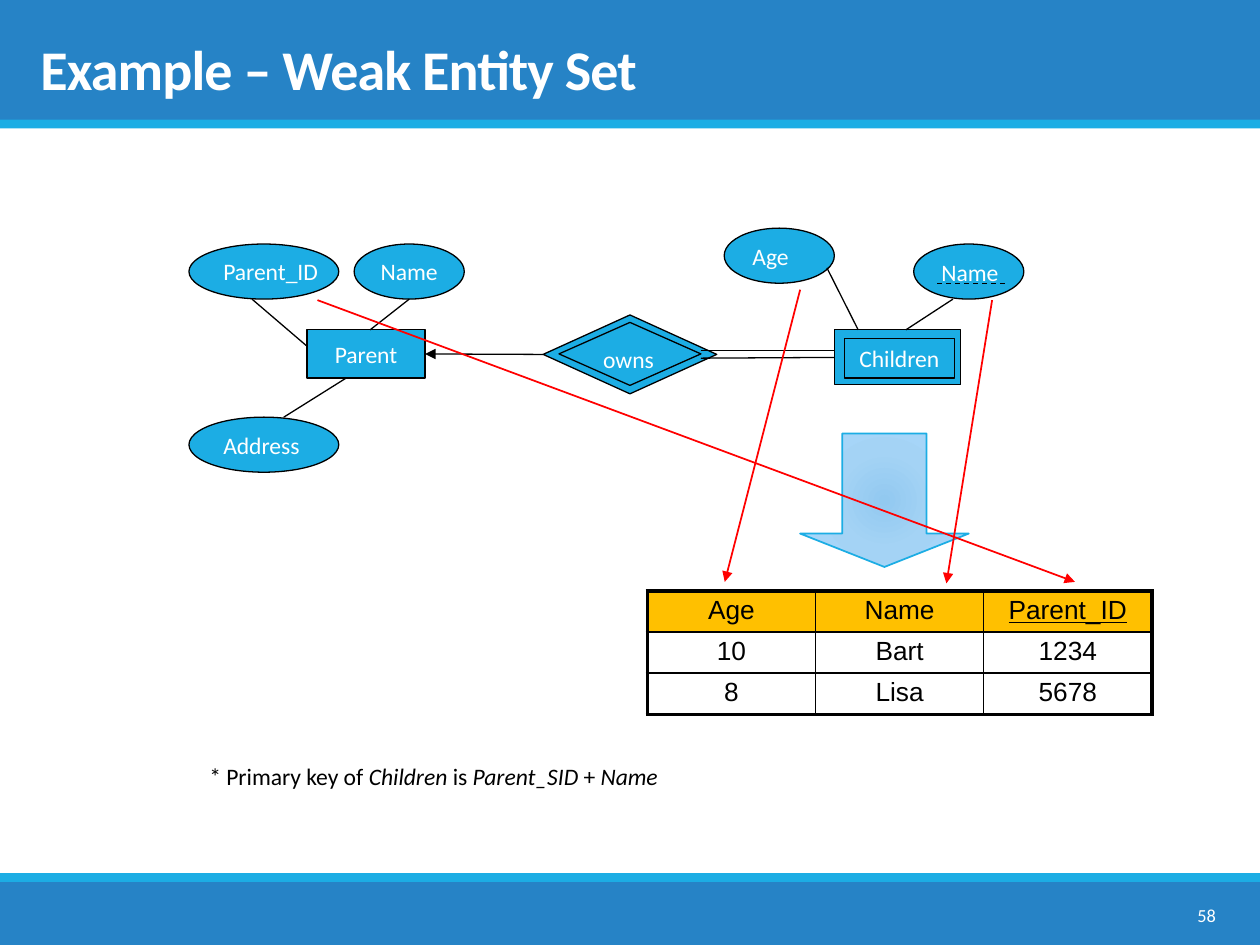
"""Build a slide that maps a weak entity set to a table."""
import pptx
import pptx.dml.color
import pptx.enum.dml
import pptx.enum.shapes
import pptx.enum.text
import pptx.oxml
import pptx.oxml.ns
import pptx.util

Cm = pptx.util.Cm
Pt = pptx.util.Pt
KIND = pptx.enum.shapes.MSO_SHAPE
ALIGN = pptx.enum.text.PP_ALIGN
ANCHOR = pptx.enum.text.MSO_ANCHOR
qn = pptx.oxml.ns.qn

COLORS = {"band": "2683C6", "accent": "1CADE4", "ink": "000000", "white": "FFFFFF",
          "header": "FFC000", "mapping": "FF0000"}
ARROW_STOPS = [(0, "92C9F0"), (45, "A4D3F5"), (100, "A9D9FD")]
WIDTH, HEIGHT = 25.4, 19.05

TITLE = "Example – Weak Entity Set"
BANDS = [("band", 0, 2.44), ("band", 17.78, 1.27), ("accent", 17.6, 0.18), ("accent", 2.41, 0.18)]
ROWS = [["Age", "Name", "Parent_ID"], ["10", "Bart", "1234"], ["8", "Lisa", "5678"]]
TABLE_LEFT, TABLE_TOP, COLUMN_WIDTH, ROW_HEIGHT = 13.05, 11.91, 3.39, 0.83
FOOTNOTE = [("* Primary key of ", False), ("Children", True), (" is ", False),
            ("Parent_SID", True), (" + ", False), ("Name", True)]

OUTER_PARTS = {
    "parent": (KIND.RECTANGLE, (6.19, 6.65, 2.38, 0.97), "Parent", ALIGN.CENTER),
    "parent name": (KIND.OVAL, (7.14, 4.92, 2.22, 1.11), "Name", ALIGN.CENTER),
    "parent id": (KIND.OVAL, (3.81, 4.92, 3.02, 1.11), "Parent_ID", ALIGN.LEFT),
    "address": (KIND.OVAL, (3.81, 8.41, 3.02, 1.11), "Address", ALIGN.LEFT),
    "owns": (KIND.FLOWCHART_DECISION, (10.95, 6.35, 3.5, 1.59), "", None),
    "children": (KIND.RECTANGLE, (16.83, 6.65, 2.54, 1.11), "", None),
    "child name": (KIND.OVAL, (18.42, 4.92, 2.22, 1.11), "", None),
    "age": (KIND.OVAL, (14.6, 4.6, 2.22, 1.11), "", None),
}
INNER_PARTS = {
    "children": (KIND.RECTANGLE, (17.02, 6.83, 2.22, 0.79), "Children", ALIGN.CENTER),
    "owns": (KIND.FLOWCHART_DECISION, (11.27, 6.5, 2.86, 1.27), "", None),
}
LABELS = [("Name", (18.73, 5.08, 1.75, 0.84)), ("Age", (14.92, 4.75, 1.59, 0.84)),
          ("owns", (11.91, 6.83, 1.59, 0.84))]
ATTRIBUTE_LINKS = [(5.08, 6.03, 6.19, 6.98), (8.25, 6.03, 7.46, 6.65), (5.72, 8.41, 6.98, 7.62),
                   (19.21, 6.03, 18.26, 6.65), (16.67, 5.4, 17.3, 6.65), (14.13, 7.06, 16.83, 7.06)]
TOTAL_LINK = (14.13, 7.22, 16.83, 7.2)
OWNER_LINK = (10.95, 7.14, 8.57, 7.14)
KEY_UNDERLINE = (18.89, 5.72, 20.32, 5.72)
MAPPINGS = [(16.13, 5.84, 14.61, 11.73), (20, 6.05, 19.08, 11.76), (6.4, 6.05, 21.67, 11.73)]


def rgb(color):
    return pptx.dml.color.RGBColor.from_string(COLORS[color])


def write(frame, text, size=13.5, color="white", font="Calibri", align=ALIGN.LEFT,
          anchor=ANCHOR.TOP, wrap=True, bold=False, underline=False):
    frame.word_wrap = wrap
    frame.vertical_anchor = anchor
    paragraph = frame.paragraphs[0]
    paragraph.alignment = align
    for words, italic in [(text, False)] if isinstance(text, str) else text:
        run = paragraph.add_run()
        run.text = words
        run.font.name, run.font.size = font, Pt(size)
        run.font.bold, run.font.italic, run.font.underline = bold, italic, underline
        run.font.color.rgb = rgb(color)
    return paragraph


def add_part(slide, kind, box, fill=None, line=None, weight=0.75):
    part = slide.shapes.add_shape(kind, *map(Cm, box))
    part.shadow.inherit = False
    if fill:
        part.fill.solid()
        part.fill.fore_color.rgb = rgb(fill)
    if line:
        part.line.color.rgb = rgb(line)
        part.line.width = Pt(weight)
    else:
        part.line.fill.background()
    return part


def add_diagram_parts(slide, parts):
    drawn = {}
    for name, (kind, box, label, align) in parts.items():
        drawn[name] = add_part(slide, kind, box, "accent", "ink")
        if label:
            write(drawn[name].text_frame, label, align=align, anchor=ANCHOR.MIDDLE, wrap=False)
    return drawn


def add_line(slide, ends, color="ink", weight=0.75, arrow=False):
    link = slide.shapes.add_connector(pptx.enum.shapes.MSO_CONNECTOR.STRAIGHT, *map(Cm, ends))
    link.line.color.rgb = rgb(color)
    link.line.width = Pt(weight)
    if arrow:
        link.line._get_or_add_ln().append(pptx.oxml.parse_xml(
            f'<a:tailEnd {pptx.oxml.ns.nsdecls("a")} type="triangle"/>'))
    link.element.spPr.append(pptx.oxml.parse_xml(f'<a:effectLst {pptx.oxml.ns.nsdecls("a")}/>'))
    return link


def add_label(slide, box, text, **style):
    return write(slide.shapes.add_textbox(*map(Cm, box)).text_frame, text, **style)


def add_border(cell, side, weight):
    cell._tc.get_or_add_tcPr().append(pptx.oxml.parse_xml(
        f'<a:ln{side} {pptx.oxml.ns.nsdecls("a")} w="{Pt(weight)}"><a:solidFill>'
        f'<a:srgbClr val="{COLORS["ink"]}"/></a:solidFill></a:ln{side}>'))


def add_children_table(slide):
    last_row, last_column = len(ROWS) - 1, len(ROWS[0]) - 1
    table = slide.shapes.add_table(
        len(ROWS), len(ROWS[0]), Cm(TABLE_LEFT), Cm(TABLE_TOP),
        Cm(COLUMN_WIDTH * len(ROWS[0])), Cm(ROW_HEIGHT * len(ROWS))).table
    for column in table.columns:
        column.width = Cm(COLUMN_WIDTH)
    for r, values in enumerate(ROWS):
        table.rows[r].height = Cm(ROW_HEIGHT)
        for c, value in enumerate(values):
            cell = table.cell(r, c)
            cell.margin_left = cell.margin_right = Cm(0.18)
            cell.margin_top = cell.margin_bottom = Cm(0.1)
            write(cell.text_frame, value, size=15, color="ink", font="Arial",
                  align=ALIGN.CENTER, underline=value == "Parent_ID")
            outside = {"L": c == 0, "R": c == last_column, "T": r == 0, "B": r == last_row}
            for side, is_outside in outside.items():
                add_border(cell, side, 2.25 if is_outside else 1)
            if r == 0:
                cell.fill.solid()
                cell.fill.fore_color.rgb = rgb("header")
            else:
                cell.fill.background()


def add_down_arrow(slide):
    arrow = add_part(slide, KIND.DOWN_ARROW, (16.13, 8.74, 3.4, 2.69), line="accent", weight=1)
    arrow.adjustments[0], arrow.adjustments[1] = 0.5, 0.25
    stops = "".join(f'<a:gs pos="{position * 1000}"><a:srgbClr val="{color}"/></a:gs>'
                    for position, color in ARROW_STOPS)
    arrow.element.spPr.find(qn("a:ln")).addprevious(pptx.oxml.parse_xml(
        f'<a:gradFill {pptx.oxml.ns.nsdecls("a")}><a:gsLst>{stops}</a:gsLst><a:path path="circle">'
        '<a:fillToRect l="100000" t="100000" r="100000" b="100000"/></a:path></a:gradFill>'))


def main():
    deck = pptx.Presentation()
    deck.slide_width, deck.slide_height = Cm(WIDTH), Cm(HEIGHT)
    slide = deck.slides.add_slide(deck.slide_layouts[5])

    for color, top, height in BANDS:
        band = add_part(slide, KIND.RECTANGLE, (0, top, WIDTH, height), color)
    title = slide.shapes.title
    band.element.addnext(title.element)
    title.left, title.top, title.width, title.height = map(Cm, (0.56, 0.25, 24.18, 1.93))
    heading = write(title.text_frame, TITLE, size=32, anchor=ANCHOR.BOTTOM, bold=True)
    heading.line_spacing = 0.85
    heading.runs[0].font._element.set("spc", "-50")

    add_children_table(slide)
    add_down_arrow(slide)
    outer = add_diagram_parts(slide, OUTER_PARTS)
    for ends in ATTRIBUTE_LINKS:
        add_line(slide, ends)
    add_line(slide, TOTAL_LINK).end_connect(outer["children"], 1)
    owner = add_line(slide, OWNER_LINK, arrow=True)
    owner.begin_connect(outer["owns"], 1)
    owner.end_connect(outer["parent"], 3)
    add_line(slide, KEY_UNDERLINE).line.dash_style = pptx.enum.dml.MSO_LINE.DASH
    add_diagram_parts(slide, INNER_PARTS)
    for text, box in LABELS:
        add_label(slide, box, text)

    add_label(slide, (3.97, 15.24, 17.3, 0.84), FOOTNOTE, color="ink")
    for ends in MAPPINGS:
        add_line(slide, ends, "mapping", 1, arrow=True)
    add_label(slide, (22.02, 17.93, 2.74, 1.02), "58", size=10.5, align=ALIGN.RIGHT,
              anchor=ANCHOR.MIDDLE)
    deck.save("out.pptx")


if __name__ == "__main__":
    main()
